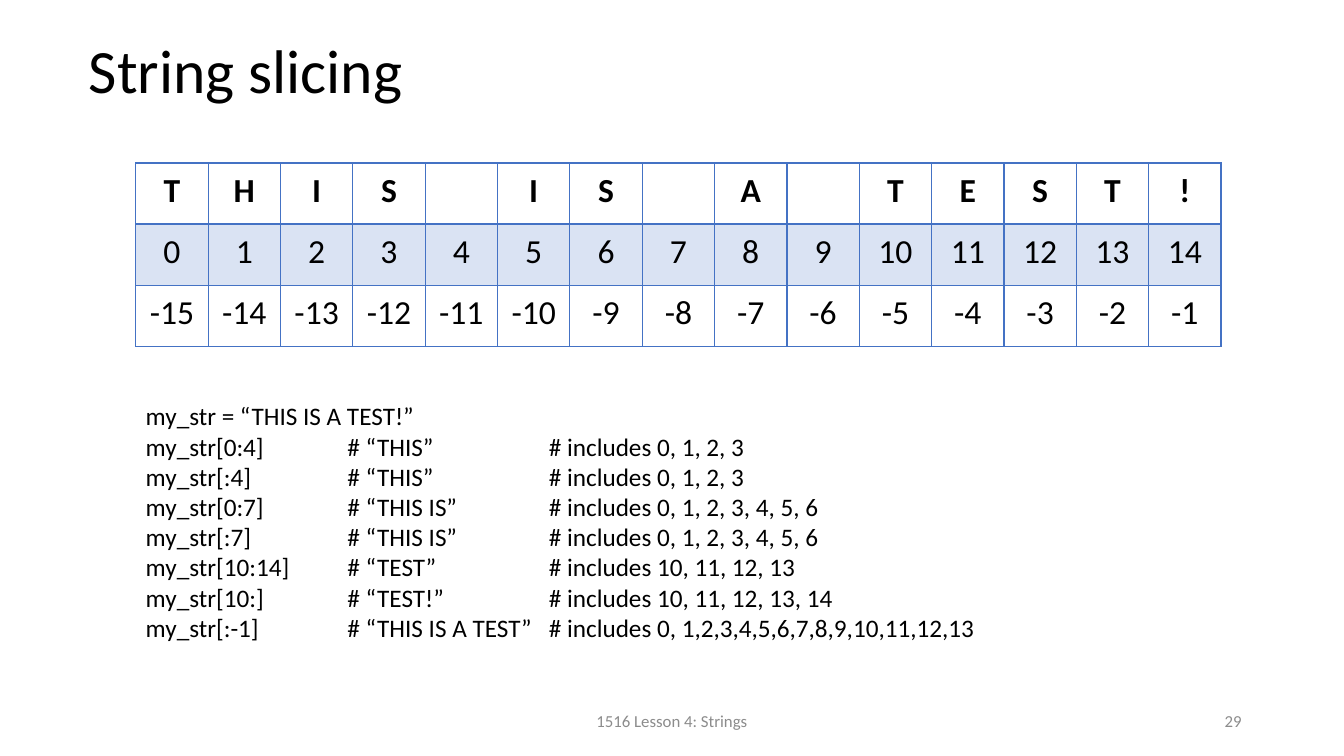
import pptx
import pptx.util
import pptx.dml.color
import pptx.enum.text
import pptx.oxml
import pptx.oxml.ns

Pt = pptx.util.Pt
ALIGN = pptx.enum.text.PP_ALIGN
MID = pptx.enum.text.MSO_ANCHOR.MIDDLE
FONT = "Calibri"
HUES = {"ink": "000000", "gray": "8C8C8C", "line": "4472C4", "band": "DAE3F3"}
PHRASE = "THIS IS A TEST!"
SLICES = [
    ("my_str = “THIS IS A TEST!”",),
    ("my_str[0:4]", "# “THIS”", "# includes 0, 1, 2, 3"),
    ("my_str[:4]", "# “THIS”", "# includes 0, 1, 2, 3"),
    ("my_str[0:7]", "# “THIS IS”", "# includes 0, 1, 2, 3, 4, 5, 6"),
    ("my_str[:7]", "# “THIS IS”", "# includes 0, 1, 2, 3, 4, 5, 6"),
    ("my_str[10:14]", "# “TEST”", "# includes 10, 11, 12, 13"),
    ("my_str[10:]", "# “TEST!”", "# includes 10, 11, 12, 13, 14"),
    ("my_str[:-1]", "# “THIS IS A TEST”", "# includes 0, 1,2,3,4,5,6,7,8,9,10,11,12,13"),
]


def color(hue):
    return pptx.dml.color.RGBColor.from_string(HUES[hue])


def apply(item, form):
    for name, value in form.items():
        setattr(item, name, value)


def write(para, text, size, hue="ink", bold=False, **form):
    run = para.add_run()
    run.text = text
    apply(run.font, {"name": FONT, "size": Pt(size), "bold": bold})
    run.font.color.rgb = color(hue)
    apply(para, form)


def frame(slide, box, **form):
    body = slide.shapes.add_textbox(*map(Pt, box)).text_frame
    apply(body, {"word_wrap": True, **form})
    return body


def label(slide, box, text, size, **form):
    body = frame(slide, box, vertical_anchor=MID)
    write(body.paragraphs[0], text, size, **form)


def border(cell, base):
    props = cell._tc.get_or_add_tcPr()
    space = pptx.oxml.ns.nsdecls("a")
    for spot, (side, width) in enumerate({"L": 1, "R": 1, "T": 1, "B": base}.items()):
        props.insert(spot, pptx.oxml.parse_xml(
            f'<a:ln{side} {space} w="{Pt(width)}"><a:solidFill>'
            f'<a:srgbClr val="{HUES["line"]}"/></a:solidFill></a:ln{side}>'))


def index_grid(slide, box):
    count = len(PHRASE)
    rows = [PHRASE.replace(" ", "\0"), range(count), range(-count, 0)]
    rows[0] = [mark.strip() for mark in PHRASE]
    table = slide.shapes.add_table(len(rows), count, *map(Pt, box)).table
    apply(table, {"first_row": False, "horz_banding": False})
    for col in table.columns:
        col.width = Pt(box[2] / count)
    for row, values in enumerate(rows):
        table.rows[row].height = Pt(box[3] / len(rows))
        for col, value in enumerate(values):
            cell = table.cell(row, col)
            if row == 1:
                cell.fill.solid()
                cell.fill.fore_color.rgb = color("band")
            else:
                cell.fill.background()
            border(cell, 2 if row == 0 else 1)
            if value != "":
                write(cell.text_frame.paragraphs[0], str(value), 24, bold=row == 0,
                      alignment=ALIGN.CENTER, line_spacing=1.07)


def slice_list(slide, box):
    body = frame(slide, box)
    stops = "".join(f'<a:tab pos="{Pt(144 * step)}" algn="l"/>' for step in (1, 2))
    space = pptx.oxml.ns.nsdecls("a")
    for spot, parts in enumerate(SLICES):
        para = body.add_paragraph() if spot else body.paragraphs[0]
        write(para, "\t".join(parts), 18)
        para._p.get_or_add_pPr().append(
            pptx.oxml.parse_xml(f"<a:tabLst {space}>{stops}</a:tabLst>"))


def build():
    deck = pptx.Presentation()
    apply(deck, {"slide_width": Pt(960), "slide_height": Pt(540)})
    slide = deck.slides.add_slide(deck.slide_layouts[6])
    label(slide, (56.4, 17.2, 828, 71.2), "String slicing", 44, line_spacing=0.9)
    index_grid(slide, (97, 116.4, 775.5, 131))
    slice_list(slide, (97, 282.6, 705, 183))
    foot = {"size": 12, "hue": "gray"}
    label(slide, (318, 500.5, 324, 28.75), "1516 Lesson 4: Strings",
          alignment=ALIGN.CENTER, **foot)
    label(slide, (678, 500.5, 216, 28.75), "29", alignment=ALIGN.RIGHT, **foot)
    deck.save("out.pptx")


build()
